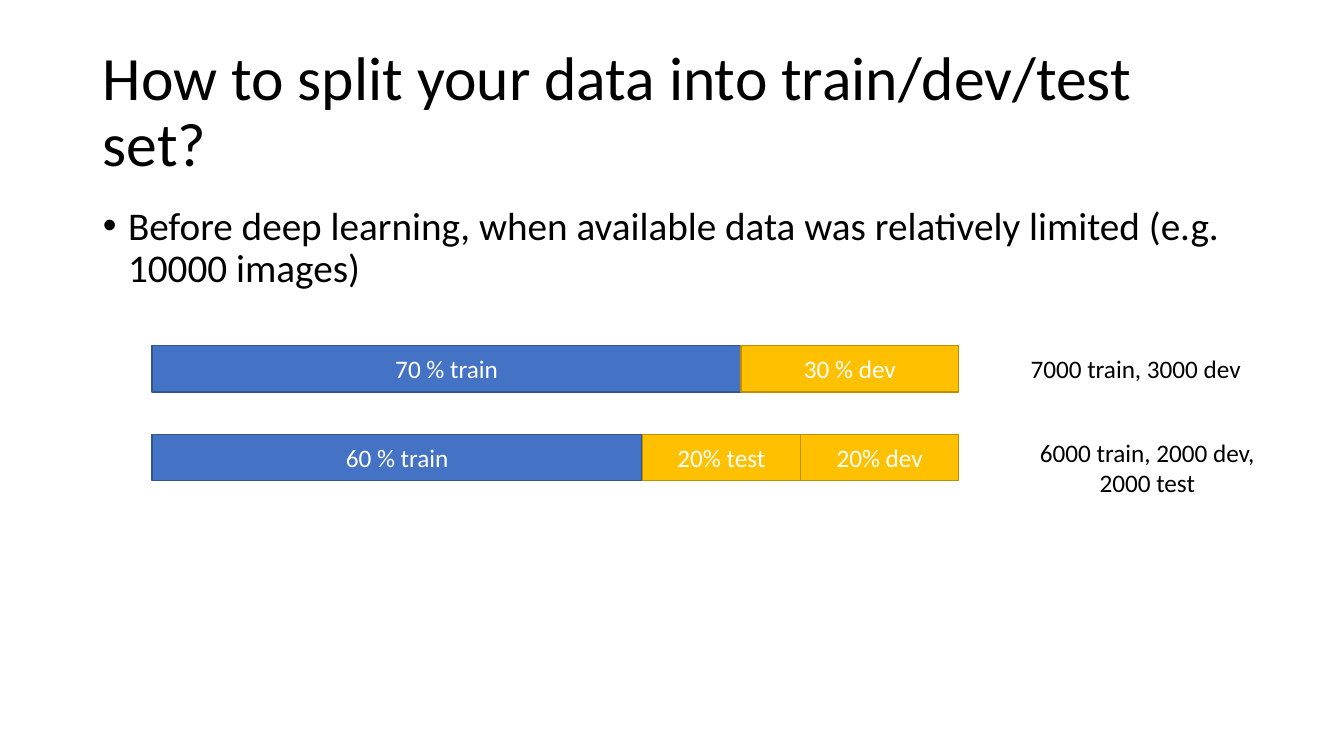
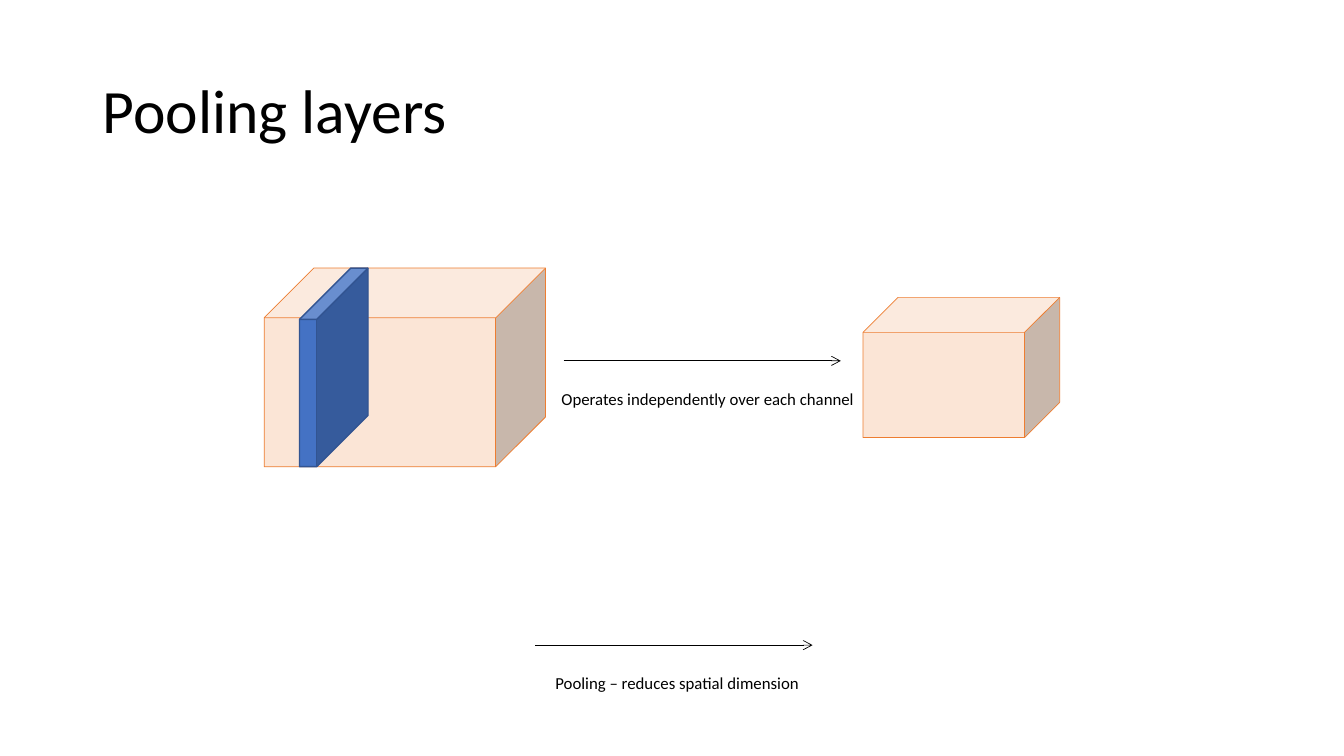
from lxml.etree import SubElement
from pptx import Presentation
from pptx.dml.color import RGBColor
from pptx.enum.shapes import MSO_CONNECTOR as CONN, MSO_SHAPE as SHAPE
from pptx.enum.text import MSO_ANCHOR as ANCHOR, MSO_AUTO_SIZE as AUTO, PP_ALIGN as ALIGN
from pptx.oxml.ns import qn
from pptx.util import Emu, Pt

# Shared style
FONT = "Calibri"
BLACK, WHITE = "000000", "FFFFFF"
BLUE, GOLD = ("4472C4", "325491", 1), ("FFC000", "BD8E00", 1)  # fill, line, line pt
PEACH = ("FBE5D6", "ED7D31", 0.5)
TITLE_BOX, BODY_BOX = (92, 40, 1150, 145), (92, 200, 1150, 341)
TITLE_LAYOUT, BODY_LAYOUT = 5, 1

# Slide 1: split bars
SPLIT_TITLE = "How to split your data into train/dev/test set?"
SPLIT_BULLETS = ["Before deep learning, when available data was relatively "
                 "limited (e.g. 10000 images)"]
BAR_LEFT, BAR_TOP, BAR_STEP, BAR_HEIGHT = 151, 343, 88, 46
BARS = [
    [("70 % train", 584, BLUE), ("30 % dev", 216, GOLD)],
    [("60 % train", 486, BLUE), ("20% test", 157, GOLD), ("20% dev", 157, GOLD)],
]
BAR_NOTES = [
    (["7000 train, 3000 dev"], (1011, 346, 231, 40)),
    (["6000 train, 2000 dev,", "2000 test"], (1020, 429, 236, 71)),
]

# Slide 2: volumes, and arrows with captions
POOL_TITLE = "Pooling layers"
CUBES = [  # box, style, depth
    ((262, 266, 279, 197), PEACH, 0.25),
    ((856, 295, 195, 139), PEACH, 0.25),
    ((297, 266, 68, 197), BLUE, 0.749),
]
ARROW_LENGTH = 275
ARROWS = [  # left, y, caption, caption box
    (531, 640, "Pooling – reduces spatial dimension", (541, 662, 265, 30)),
    (559, 358, "Operates independently over each channel", (547, 381, 313, 30)),
]


def px(n):
    return Emu(n * 9144)  # 100 px to the inch


def rgb(value):
    return RGBColor.from_string(value)


def write(tf, lines, size=18, color=BLACK, align=ALIGN.LEFT, spacing=None, before=None):
    for i, line in enumerate(lines):
        p = tf.paragraphs[0] if i == 0 else tf.add_paragraph()
        p.alignment, p.line_spacing = align, spacing
        if before is not None:
            p.space_before = Pt(before)
        r = p.add_run()
        r.text = line
        r.font.name, r.font.size = FONT, Pt(size)
        r.font.color.rgb = rgb(color)


def place(sp, box):
    sp.left, sp.top, sp.width, sp.height = map(px, box)


def add_slide(prs, layout, title):
    s = prs.slides.add_slide(prs.slide_layouts[layout])
    place(s.shapes.title, TITLE_BOX)
    tf = s.shapes.title.text_frame
    tf.vertical_anchor = ANCHOR.MIDDLE
    write(tf, [title], size=44, spacing=0.9)
    return s


def fill_body(s, bullets):
    body = s.placeholders[1]
    place(body, BODY_BOX)
    write(body.text_frame, bullets, size=28, spacing=0.9, before=10)
    for p in body.text_frame.paragraphs:
        pPr = p._p.get_or_add_pPr()
        pPr.set("marL", str(px(25)))
        pPr.set("indent", str(-px(25)))
        SubElement(pPr, qn("a:buFont"), typeface="Arial")
        SubElement(pPr, qn("a:buChar"), char="•")


def add_label(s, lines, box, **fmt):
    tf = s.shapes.add_textbox(*map(px, box)).text_frame
    tf.word_wrap = False
    tf.auto_size = AUTO.SHAPE_TO_FIT_TEXT
    write(tf, lines, **fmt)


def add_block(s, kind, box, style):
    fill, line, weight = style
    sp = s.shapes.add_shape(kind, *map(px, box))
    sp.shadow.inherit = False
    sp.fill.solid()
    sp.fill.fore_color.rgb = rgb(fill)
    sp.line.color.rgb = rgb(line)
    sp.line.width = Pt(weight)
    return sp


def add_arrow(s, left, y):
    cx = s.shapes.add_connector(CONN.STRAIGHT, px(left), px(y), px(left + ARROW_LENGTH), px(y))
    cx.line.color.rgb = rgb(BLACK)
    cx.line.width = Pt(0.5)
    SubElement(cx.line._get_or_add_ln(), qn("a:tailEnd"), type="arrow")
    SubElement(cx._element.spPr, qn("a:effectLst"))


def build_split(prs):
    s = add_slide(prs, BODY_LAYOUT, SPLIT_TITLE)
    fill_body(s, SPLIT_BULLETS)
    for row, bar in enumerate(BARS):
        left, top = BAR_LEFT, BAR_TOP + row * BAR_STEP
        for text, width, style in bar:
            sp = add_block(s, SHAPE.RECTANGLE, (left, top, width, BAR_HEIGHT), style)
            sp.text_frame.vertical_anchor = ANCHOR.MIDDLE
            write(sp.text_frame, [text], color=WHITE, align=ALIGN.CENTER)
            left += width
    for lines, box in BAR_NOTES:
        add_label(s, lines, box, align=ALIGN.CENTER)


def build_pooling(prs):
    s = add_slide(prs, TITLE_LAYOUT, POOL_TITLE)
    for box, style, depth in CUBES:
        add_block(s, SHAPE.CUBE, box, style).adjustments[0] = depth
    for left, y, caption, box in ARROWS:
        add_arrow(s, left, y)
        add_label(s, [caption], box, size=12)


def main():
    prs = Presentation()
    prs.slide_width, prs.slide_height = px(1333), px(750)
    build_split(prs)
    build_pooling(prs)
    prs.save("out.pptx")


if __name__ == "__main__":
    main()
